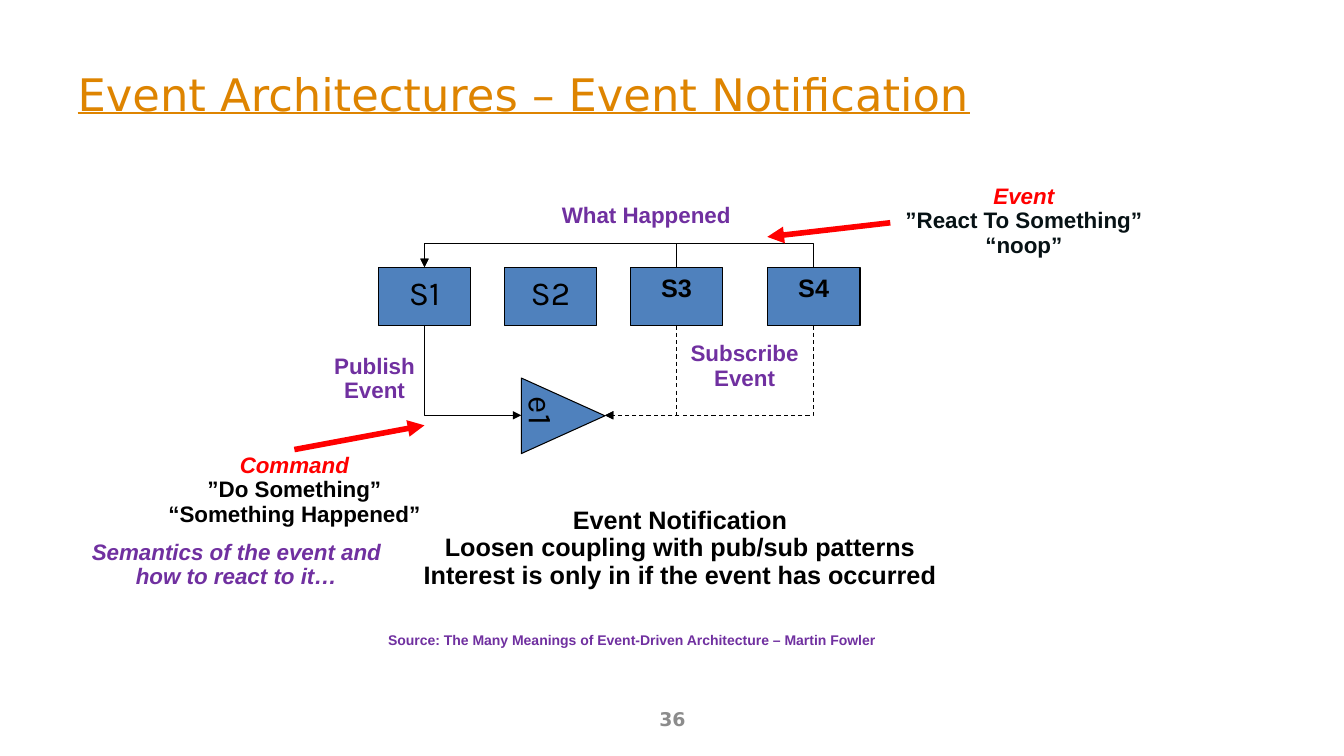
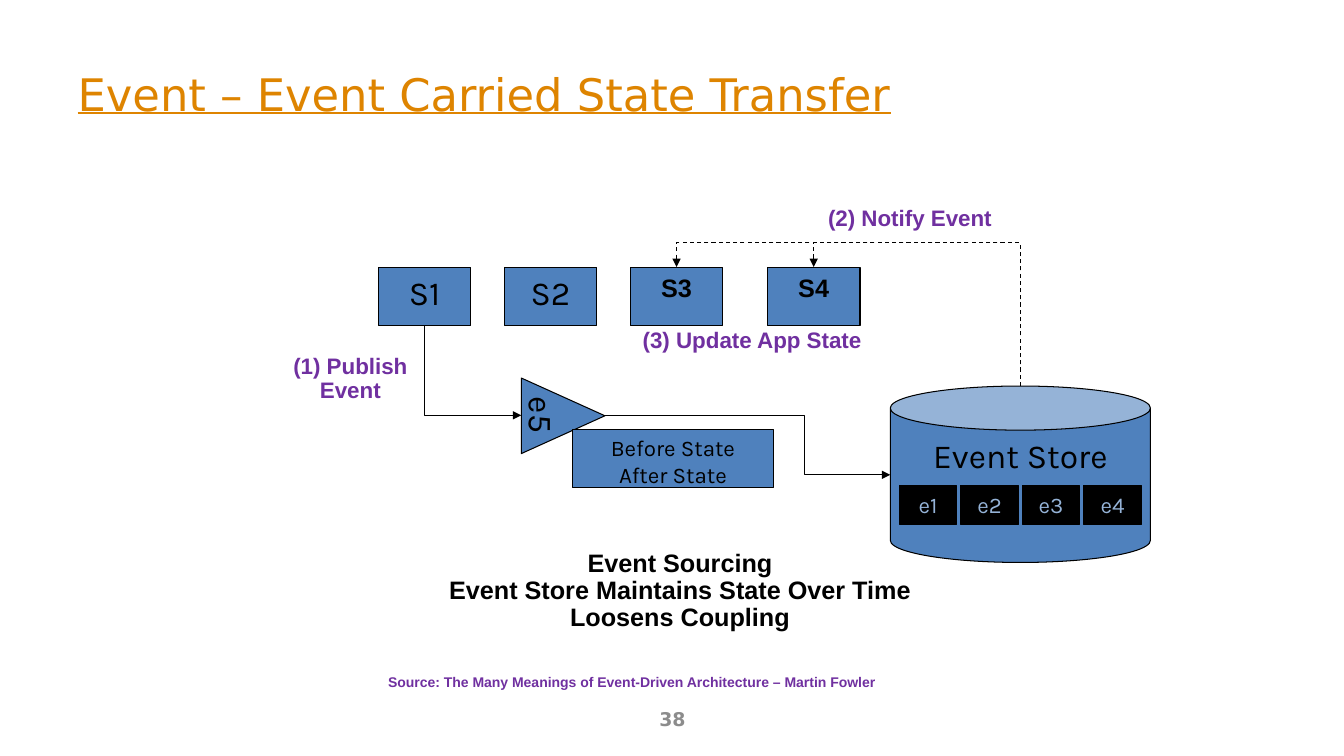
from lxml import etree
from pptx import Presentation
from pptx.dml.color import RGBColor
from pptx.enum.dml import MSO_LINE
from pptx.enum.shapes import MSO_CONNECTOR, MSO_SHAPE
from pptx.enum.text import MSO_ANCHOR, PP_ALIGN
from pptx.oxml.ns import qn
from pptx.util import Pt

PX = 9144  # EMU per px, 100 px to the inch

ORANGE = RGBColor(0xDE, 0x84, 0x00)
GRAY = RGBColor(0x8C, 0x8C, 0x8C)
BLUE = RGBColor(0x4F, 0x81, 0xBD)
PALE_BLUE = RGBColor(0x95, 0xB3, 0xD7)
PURPLE = RGBColor(0x70, 0x30, 0xA0)
RED = RGBColor(0xFF, 0x00, 0x00)
INK = RGBColor(0x07, 0x12, 0x15)
BLACK = RGBColor(0x00, 0x00, 0x00)

RECTANGLE = MSO_SHAPE.RECTANGLE
TRIANGLE = MSO_SHAPE.ISOSCELES_TRIANGLE
CAN = MSO_SHAPE.CAN
STRAIGHT = MSO_CONNECTOR.STRAIGHT
ELBOW = MSO_CONNECTOR.ELBOW
DASH = MSO_LINE.DASH
LEFT, CENTER = PP_ALIGN.LEFT, PP_ALIGN.CENTER
TOP, MIDDLE = MSO_ANCHOR.TOP, MSO_ANCHOR.MIDDLE

HEADING, LABEL, SMALL = 18, 16, 10
NODE_WIDTH, NODE_HEIGHT = 92, 58
NODE_TOP = 265
NODE_BOTTOM = NODE_TOP + NODE_HEIGHT
BUS_Y = 241
S1_X, S3_X, S4_X = 421, 671, 807
EVENT_Y = 412
EVENT_LEFT, EVENT_RIGHT = 517, 600


def place_text(page, bounds, text, size, color=PURPLE, shape=None, fill=BLUE,
               font="Arial", bold=True, align=CENTER):
    """Add a text box, or a filled preset shape, with one paragraph per line."""
    frame = [length * PX for length in bounds]
    if shape is None:
        box = page.shapes.add_textbox(*frame)
    else:
        box = page.shapes.add_shape(shape, *frame)
        box.shadow.inherit = False
        box.fill.solid()
        box.fill.fore_color.rgb = fill
        box.line.color.rgb = BLACK
        box.line.width = Pt(0.75)
    box.text_frame.word_wrap = False
    box.text_frame.vertical_anchor = TOP
    box.text_frame.text = text
    for para in box.text_frame.paragraphs:
        para.alignment = align
        if shape is None:
            para.line_spacing = 0.9
        para.font.name = font
        para.font.size = Pt(size)
        para.font.bold = bold
        para.font.color.rgb = color
    return box


def draw_arrow(page, start, end, kind=ELBOW, bend=None, sideways=False,
               dashed=False, color=BLACK, weight=0.75):
    """Join two points; an elbow leaves vertically unless sideways.

    bend is the coordinate of the middle leg; without it there is one corner.
    """
    (x1, y1), (x2, y2) = start, end
    turn, flip = 0, None
    if kind == ELBOW:
        middle_x, middle_y = (x1 + x2) / 2, (y1 + y2) / 2
        across, down = abs(x2 - x1), abs(y2 - y1)
        if not sideways:
            across, down = down, across
            if y2 < y1:
                turn, flip = 270, "flipV"
            elif x2 > x1:
                turn, flip = 270, "flipH"
            else:
                turn = 90
        ends = (middle_x - across / 2, middle_y - down / 2,
                middle_x + across / 2, middle_y + down / 2)
    else:
        ends = (x1, y1, x2, y2)
    arrow = page.shapes.add_connector(kind, *[round(v * PX) for v in ends])
    arrow.line.color.rgb = color
    arrow.line.width = Pt(weight)
    if dashed:
        arrow.line.dash_style = DASH

    properties = arrow._element.spPr
    if kind == ELBOW:
        transform = properties.find(qn("a:xfrm"))
        transform.set("rot", str(turn * 60000))
        if flip:
            transform.set(flip, "1")
        geometry = properties.find(qn("a:prstGeom"))
        if bend is None:
            geometry.set("prst", "bentConnector2")
        else:
            first, last = (x1, x2) if sideways else (y1, y2)
            ratio = round((bend - first) / (last - first) * 100000)
            etree.SubElement(geometry.find(qn("a:avLst")), qn("a:gd"),
                             name="adj1", fmla=f"val {ratio}")
    etree.SubElement(properties.find(qn("a:ln")), qn("a:tailEnd"), type="triangle")
    etree.SubElement(properties, qn("a:effectLst"))


deck = Presentation()
deck.slide_width, deck.slide_height = 1333 * PX, 750 * PX
title_only = deck.slide_layouts[5]

# Parts that both slides share
pages = []
for heading, number, event, source_top in (
        ("Event Architectures – Event Notification", "36", "e1", 623),
        ("Event – Event Carried State Transfer", "38", "e5", 665)):
    page = deck.slides.add_slide(title_only)
    pages.append(page)

    title = page.shapes.title
    title.left, title.top, title.width, title.height = [
        length * PX for length in (67, 30, 1200, 125)]
    title.text_frame.text = heading
    title.text_frame.vertical_anchor = MIDDLE
    para = title.text_frame.paragraphs[0]
    para.alignment = LEFT
    para.font.name = "DejaVu Sans"
    para.font.size = Pt(32)
    para.font.underline = True
    para.font.color.rgb = ORANGE

    footer = place_text(page, (456, 695, 422, 40), number, 13.5, GRAY, font="DejaVu Sans")
    footer.text_frame.vertical_anchor = MIDDLE

    for name, left, size, font, bold in (
            ("S1", 375, 24, "Karla", False), ("S2", 500, 24, "Karla", False),
            ("S3", 625, 18, "Arial", True), ("S4", 761, 18, "Arial", True)):
        place_text(page, (left, NODE_TOP, NODE_WIDTH, NODE_HEIGHT), name, size,
                   BLACK, RECTANGLE, font=font, bold=bold)

    marker = place_text(page, (521, 371, 75, 83), event, 24, BLACK, TRIANGLE,
                        font="Karla", bold=False, align=LEFT)
    marker.rotation = 90
    inside = marker.text_frame
    inside.vertical_anchor = MIDDLE
    inside.margin_left = inside.margin_right = inside.margin_top = inside.margin_bottom = 0

    draw_arrow(page, (S1_X, NODE_BOTTOM), (EVENT_LEFT, EVENT_Y))
    source = place_text(
        page, (375, source_top, 558, 25),
        "Source: The Many Meanings of Event-Driven Architecture – Martin Fowler",
        SMALL, align=LEFT)
    source.text_frame.word_wrap = True

notification, state_transfer = pages

# Event notification
for service_x in (S3_X, S4_X):
    draw_arrow(notification, (service_x, NODE_BOTTOM), (EVENT_RIGHT, EVENT_Y), dashed=True)
    draw_arrow(notification, (service_x, NODE_TOP + 1), (S1_X, NODE_TOP), bend=BUS_Y)

place_text(notification, (408, 499, 533, 92),
           "Event Notification\nLoosen coupling with pub/sub patterns\n"
           "Interest is only in if the event has occurred", HEADING, BLACK)
for bounds, text in (
        ((321, 347, 101, 59), "Publish\nEvent"),
        ((674, 335, 129, 59), "Subscribe\nEvent"),
        ((546, 198, 190, 34), "What Happened")):
    place_text(notification, bounds, text, LABEL)

for bounds, text, color in (
        ((156, 446, 272, 83), "Command\n”Do Something”\n“Something Happened”", BLACK),
        ((887, 179, 257, 83), "Event\n”React To Something”\n“noop”", INK)):
    callout = place_text(notification, bounds, text, LABEL, color)
    lead = callout.text_frame.paragraphs[0]
    lead.font.italic = True
    lead.font.color.rgb = RED

for start, end in (((883, 221), (761, 235)), ((292, 446), (421, 422))):
    draw_arrow(notification, start, end, STRAIGHT, color=RED, weight=4)

semantics = place_text(notification, (79, 532, 311, 59),
                       "Semantics of the event and\nhow to react to it…", LABEL)
for para in semantics.text_frame.paragraphs:
    para.font.italic = True

# Event carried state transfer
place_text(state_transfer, (433, 541, 483, 92),
           "Event Sourcing\nEvent Store Maintains State Over Time\nLoosens Coupling",
           HEADING, BLACK)
for bounds, text in (
        ((280, 347, 135, 59), "(1) Publish\nEvent"),
        ((810, 201, 185, 34), "(2) Notify Event"),
        ((626, 322, 240, 34), "(3) Update App State")):
    place_text(state_transfer, bounds, text, LABEL)

place_text(state_transfer, (883, 383, 258, 175), "Event Store", 24, BLACK, CAN,
           font="Karla", bold=False)
for index in range(4):
    place_text(state_transfer, (892 + 61 * index, 482, 57, 38), f"e{index + 1}", 16,
               PALE_BLUE, RECTANGLE, BLACK, font="Karla", bold=False)
place_text(state_transfer, (568, 426, 199, NODE_HEIGHT), "Before State\nAfter State", 16,
           BLACK, RECTANGLE, font="Karla", bold=False)

draw_arrow(state_transfer, (EVENT_RIGHT, EVENT_Y), (883, 471), bend=798, sideways=True)
for service_x in (S3_X, S4_X):
    draw_arrow(state_transfer, (1012, 383), (service_x, NODE_TOP), bend=BUS_Y, dashed=True)

deck.save("out.pptx")
